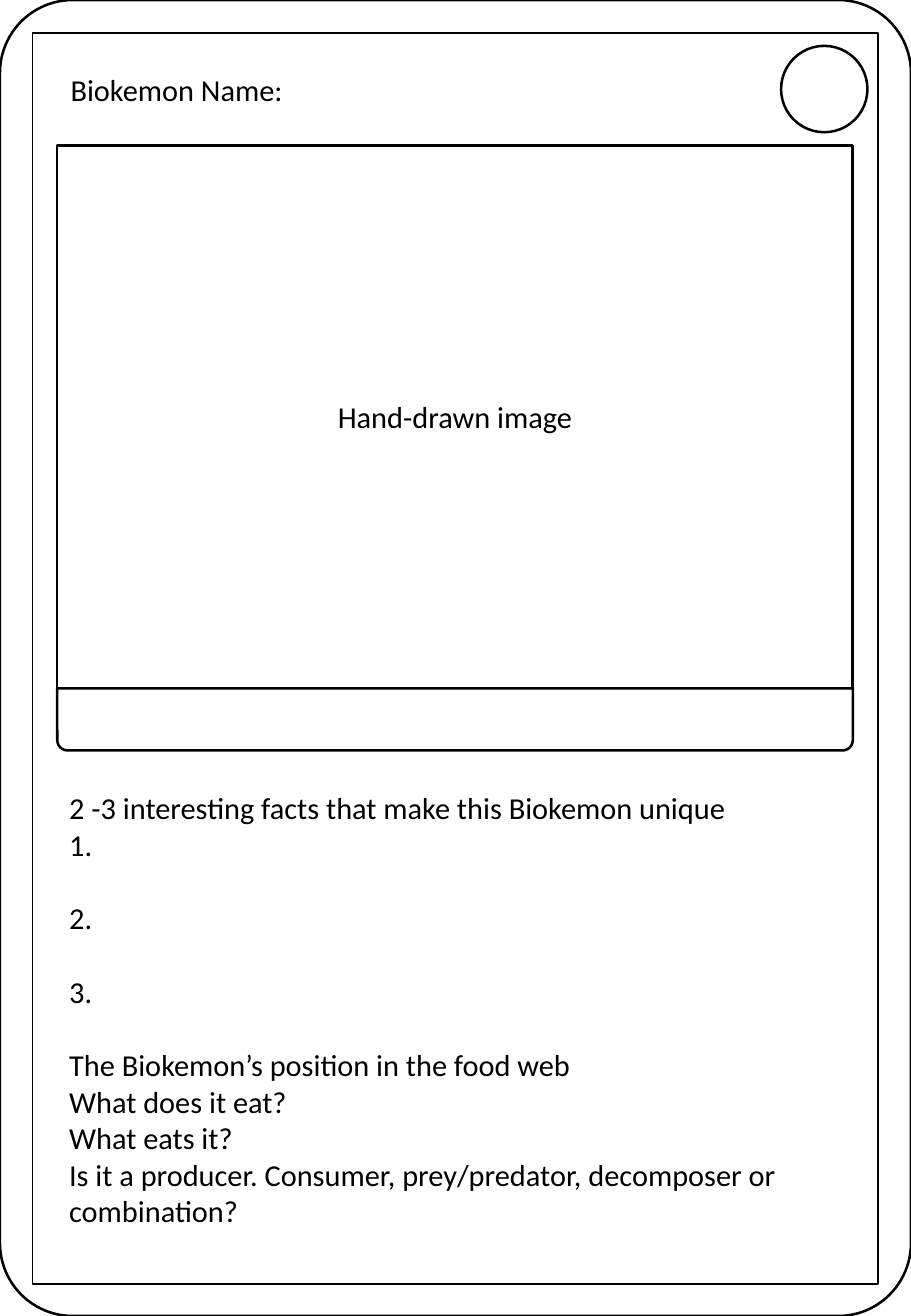
import pptx
import pptx.util
import pptx.dml.color
import pptx.enum.shapes
import pptx.enum.text

Pt = pptx.util.Pt
Kind = pptx.enum.shapes.MSO_SHAPE
Align = pptx.enum.text.PP_ALIGN
Anchor = pptx.enum.text.MSO_ANCHOR

COLORS = {"ink": "000000", "paper": "FFFFFF"}
FONT = "Calibri"
TEXT_SIZE = 18
LINE_HEIGHT = 22
PAGE_WIDTH, PAGE_HEIGHT = 540, 780
COLUMN_LEFT, COLUMN_WIDTH = 33.9, 471.6

# Each line with the space that follows it
FACT_LINES = [
    ("2 -3 interesting facts that make this Biokemon unique", 0),
    ("1.", LINE_HEIGHT),
    ("2.", LINE_HEIGHT),
    ("3.", LINE_HEIGHT),
    ("The Biokemon’s position in the food web", 0),
    ("What does it eat?", 0),
    ("What eats it?", 0),
    ("Is it a producer. Consumer, prey/predator, decomposer or combination?", 0),
]


def color(name):
    return pptx.dml.color.RGBColor.from_string(COLORS[name])


def add_panel(page, kind, left, top, width, height, line_width=1.5):
    panel = page.shapes.add_shape(kind, Pt(left), Pt(top), Pt(width), Pt(height))
    panel.shadow.inherit = False
    panel.fill.solid()
    panel.fill.fore_color.rgb = color("paper")
    panel.line.color.rgb = color("ink")
    panel.line.width = Pt(line_width)
    return panel


def write_lines(box, lines, align=Align.LEFT, anchor=Anchor.MIDDLE):
    frame = box.text_frame
    frame.word_wrap = True
    frame.auto_size = pptx.enum.text.MSO_AUTO_SIZE.NONE
    frame.vertical_anchor = anchor
    for index, (text, gap) in enumerate(lines):
        para = frame.add_paragraph() if index else frame.paragraphs[0]
        para.alignment = align
        para.line_spacing = 1.0
        para.space_before = Pt(0)
        para.space_after = Pt(gap)
        span = para.add_run()
        span.text = text
        span.font.name = FONT
        span.font.size = Pt(TEXT_SIZE)
        span.font.color.rgb = color("ink")


def place(box, left, top, width, height):
    box.left, box.top, box.width, box.height = Pt(left), Pt(top), Pt(width), Pt(height)


def main():
    deck = pptx.Presentation()
    deck.slide_width, deck.slide_height = Pt(PAGE_WIDTH), Pt(PAGE_HEIGHT)
    page = deck.slides.add_slide(deck.slide_layouts[5])

    # Card outline and inner frame
    card = add_panel(page, Kind.ROUNDED_RECTANGLE, 0, 0, PAGE_WIDTH, PAGE_HEIGHT)
    card.adjustments[0] = 0.08
    add_panel(page, Kind.RECTANGLE, 19.4, 19.4, 501.1, 741.6, 1)

    # Drawing area with the caption bar under it
    drawing = add_panel(page, Kind.RECTANGLE, COLUMN_LEFT, 86.4, COLUMN_WIDTH, 321.4)
    write_lines(drawing, [("Hand-drawn image", 0)], Align.CENTER)
    caption = add_panel(page, Kind.ROUND_2_SAME_RECTANGLE,
                        COLUMN_LEFT, 408, COLUMN_WIDTH, 36.8)
    caption.rotation = 180

    # Badge
    add_panel(page, Kind.OVAL, 463, 27.2, 51.2, 51.2)

    # Facts
    facts = page.shapes.add_textbox(Pt(COLUMN_LEFT), Pt(464.4), Pt(COLUMN_WIDTH), Pt(275.8))
    write_lines(facts, FACT_LINES, anchor=Anchor.TOP)

    # Name, brought in front of the card
    title = page.shapes.title
    place(title, 34.6, 33.1, 393.1, 39.6)
    write_lines(title, [("Biokemon Name:", 0)])
    facts.element.addnext(title.element)

    deck.save("out.pptx")


if __name__ == "__main__":
    main()
